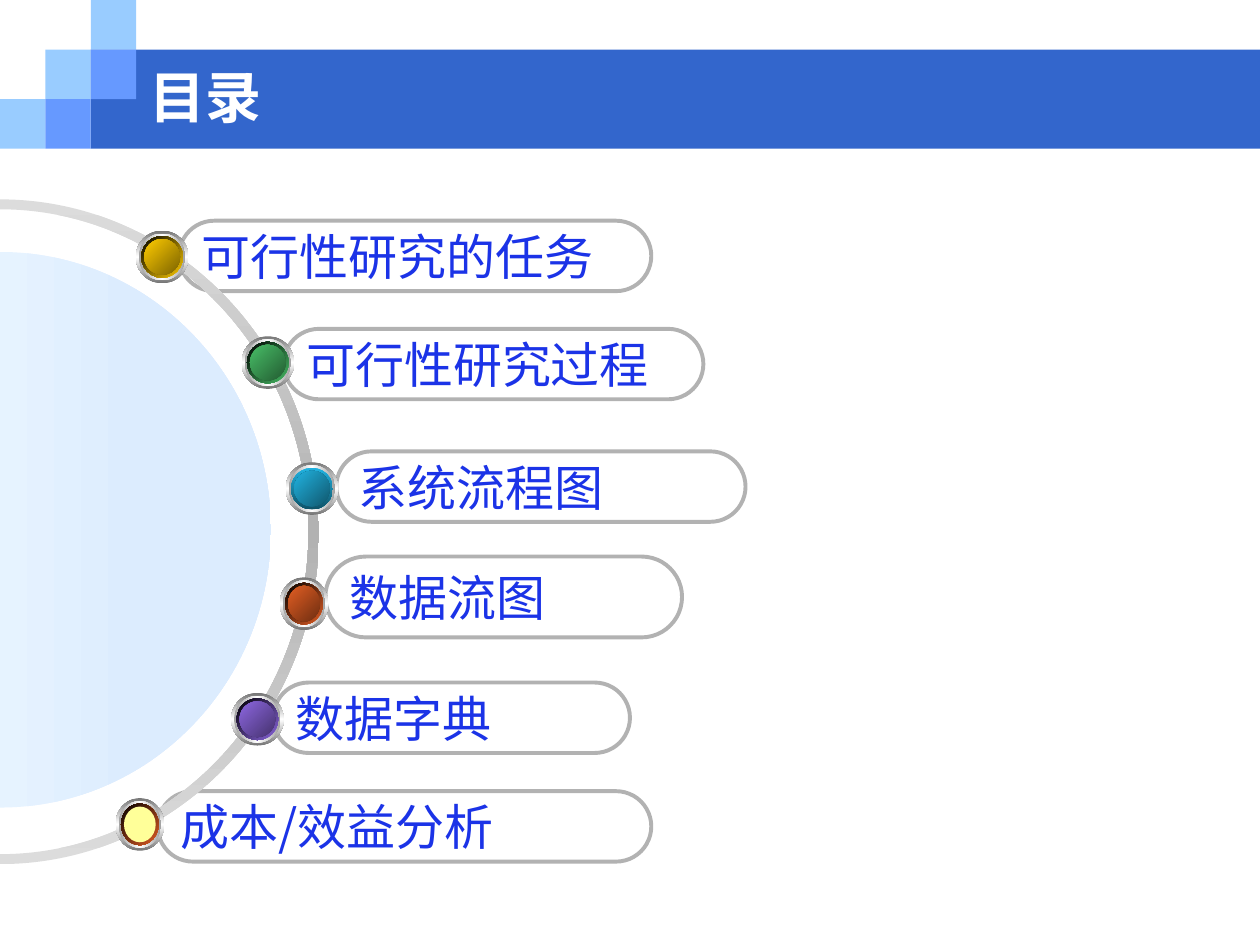
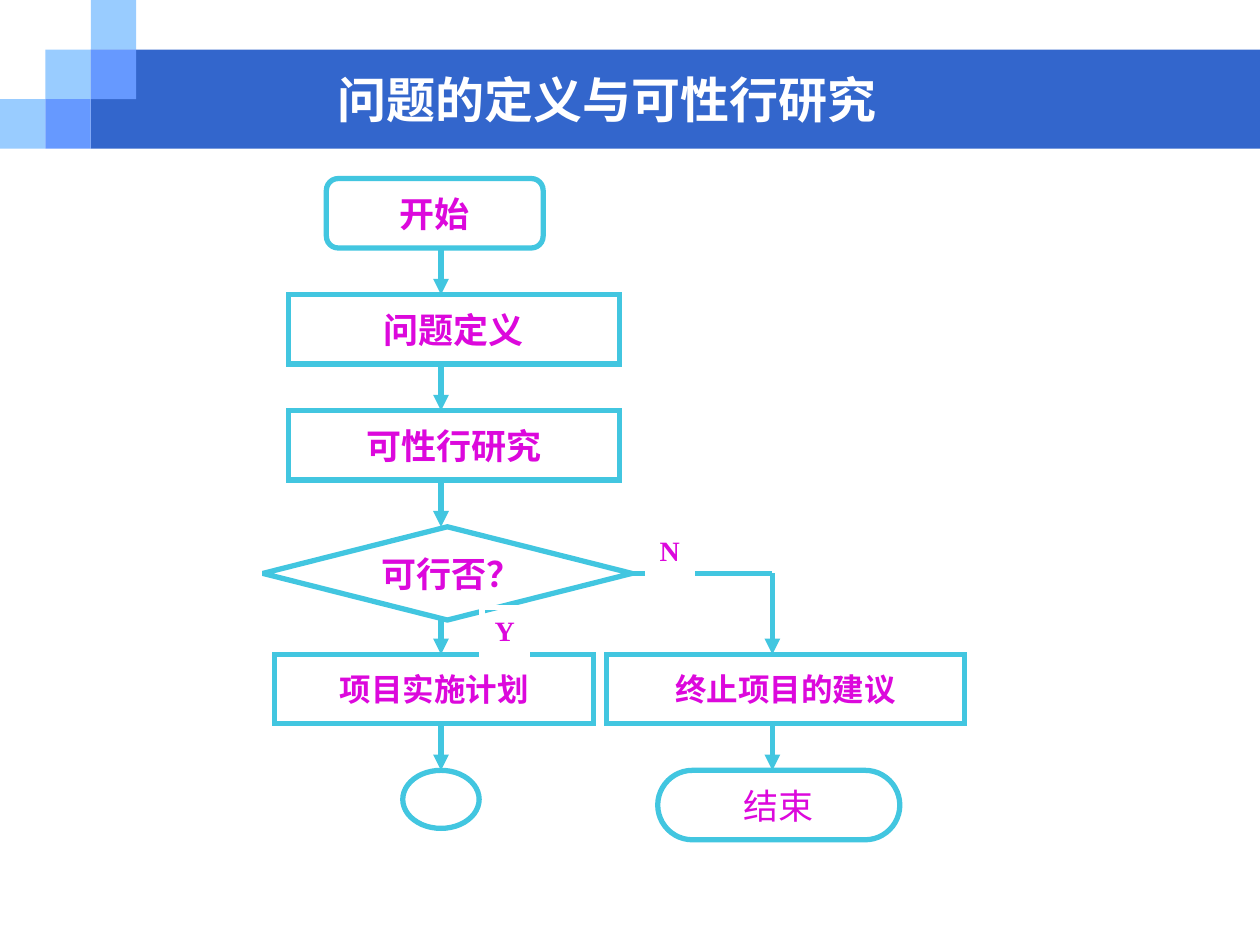
from dataclasses import dataclass

from lxml import etree
from pptx import Presentation
from pptx import util as u
from pptx.dml.color import RGBColor
from pptx.enum import shapes, text
from pptx.oxml import ns


@dataclass(frozen=True)
class Theme:
    band: str = "3366CC"
    light_tile: str = "99CCFF"
    mid_tile: str = "6699FF"
    white: str = "FFFFFF"
    pill_line: str = "B2B2B2"
    pill_text: str = "1B33E7"
    flow_line: str = "42C6E0"
    flow_text: str = "DC08DC"
    ring: tuple = (90, "DCDCDC", "B2B2B2", "DCDCDC")
    disc: tuple = (0, "E6F3FF", "DCECFE", "DCECFE")
    knob_rim: tuple = (90, "767676", "FFFFFF", "767676")
    knob_groove: tuple = (180, "A2A2A2", "FFFFFF", "A2A2A2")
    serif: str = "Times New Roman"
    sans: str = "Arial"
    cjk: str = "Noto Sans CJK SC"
    title: int = 32
    heading: int = 28
    step: int = 20
    outcome: int = 18
    label: int = 16
    pill_width: float = 2.25
    flow_width: float = 3


@dataclass(frozen=True)
class Box:
    """A rectangle measured in centimetres."""
    left: float
    top: float
    width: float
    height: float

    def inner(self, left, top, width, height):
        return Box(self.left + left, self.top + top, width, height)

    def inset(self, gap):
        return self.inner(gap, gap, self.width - 2 * gap, self.height - 2 * gap)

    def emu(self):
        return [u.Cm(side) for side in (self.left, self.top, self.width, self.height)]


THEME = Theme()
KIND = shapes.MSO_SHAPE
ALIGN = text.PP_ALIGN
ANCHOR = text.MSO_ANCHOR


def rgb(code):
    return RGBColor.from_string(code)


def paint(shape, fill=None, line=None, line_width=1):
    """Fill with nothing, a colour, or (angle, colour, colour, ...) as a gradient."""
    shape.shadow.inherit = False
    if fill is None:
        shape.fill.background()
    elif isinstance(fill, str):
        shape.fill.solid()
        shape.fill.fore_color.rgb = rgb(fill)
    else:
        shape.fill.gradient()
        gradient = shape._element.spPr.find(ns.qn("a:gradFill"))
        for child in list(gradient):
            gradient.remove(child)
        angle, *colours = fill
        stops = etree.SubElement(gradient, ns.qn("a:gsLst"))
        for index, colour in enumerate(colours):
            position = 100000 * index // (len(colours) - 1)
            stop = etree.SubElement(stops, ns.qn("a:gs"), pos=str(position))
            etree.SubElement(stop, ns.qn("a:srgbClr"), val=colour)
        etree.SubElement(gradient, ns.qn("a:lin"), ang=str(angle * 60000), scaled="0")
    if line:
        shape.line.color.rgb = rgb(line)
        shape.line.width = u.Pt(line_width)
        etree.SubElement(shape.line._get_or_add_ln(), ns.qn("a:miter"), lim="800000")
    else:
        shape.line.fill.background()


def add_figure(page, kind, box, fill=None, line=None, line_width=1, corner=None):
    figure = page.shapes.add_shape(kind, *box.emu())
    if corner is not None:
        figure.adjustments[0] = corner
    paint(figure, fill, line, line_width)
    return figure


def write(shape, words, size, colour, font, bold=True, align=ALIGN.LEFT,
          anchor=ANCHOR.MIDDLE, wrap=False):
    frame = shape.text_frame
    frame.word_wrap = wrap
    frame.vertical_anchor = anchor
    para = frame.paragraphs[0]
    para.alignment = align
    span = para.add_run()
    span.text = words
    span.font.size = u.Pt(size)
    span.font.bold = bold
    span.font.color.rgb = rgb(colour)
    span.font.name = font
    etree.SubElement(span.font._element, ns.qn("a:ea"), typeface=THEME.cjk)


def add_header(page, box, title, title_box, size, font, anchor):
    """Band with a staircase of tiles at its left end, and the slide title."""
    band_left, tile_height = 1.83, 1.0
    tile_width = band_left / 2
    band = box.inner(band_left, tile_height, box.width - band_left, 2 * tile_height)
    add_figure(page, KIND.RECTANGLE, band, THEME.band)
    tiles = [(THEME.light_tile, ((0, 2), (1, 1), (2, 0))),
             (THEME.mid_tile, ((2, 1), (1, 2)))]
    for colour, cells in tiles:
        for column, row in cells:
            tile = box.inner(column * tile_width, row * tile_height, tile_width, tile_height)
            add_figure(page, KIND.RECTANGLE, tile, colour)
    caption = page.shapes.add_textbox(*box.inner(*title_box).emu())
    write(caption, title, size, THEME.white, font, anchor=anchor, wrap=True)


def half_ellipse(box, centre_y, radius_x, radius_y):
    """Bezier points of the right half of an ellipse, from top to bottom."""
    pull = 0.5523
    steps = [(0, -1), (pull, -1), (1, -pull), (1, 0), (1, pull), (pull, 1), (0, 1)]
    return [(u.Cm(box.left + radius_x * x), u.Cm(box.top + centre_y + radius_y * y))
            for x, y in steps]


def add_curved_outline(page, fill, *arcs):
    """Closed outline of Bezier arcs, with a straight edge from each to the next."""
    points = [point for arc in arcs for point in arc]
    builder = page.shapes.build_freeform(*points[0])
    builder.add_line_segments(points[1:], close=True)
    outline = builder.convert_to_shape()
    edges = list(outline._element.iter(ns.qn("a:lnTo")))
    start = 0
    for arc in arcs:
        arc_end = start + len(arc) - 1
        for first in range(start, arc_end, 3):
            curve = etree.Element(ns.qn("a:cubicBezTo"))
            edges[first].addprevious(curve)
            for edge in edges[first:first + 3]:
                curve.append(edge[0])
                edge.getparent().remove(edge)
        start = arc_end + 1
    paint(outline, fill)


def add_knob(page, box, bezel, face):
    layers = [(0, THEME.knob_rim), (0.06, THEME.knob_groove), (0.11, bezel), (0.17, face)]
    for gap, fill in layers:
        add_figure(page, KIND.OVAL, box.inset(gap), fill)


def add_agenda(page, box):
    pill_height, knob_height = 1.42, 1.06
    pills = [("数据流图", 6.56, 7.22, 7.19, 1.63),
             ("系统流程图", 6.78, 5.1, 8.25, pill_height),
             ("可行性研究过程", 5.72, 2.63, 8.46, pill_height),
             ("可行性研究的任务", 3.61, 0.45, 9.52, pill_height),
             ("数据字典", 5.51, 9.76, 7.19, pill_height),
             ("成本/效益分析", 3.18, 11.95, 9.95, pill_height)]
    for words, *place in pills:
        pill = add_figure(page, KIND.ROUNDED_RECTANGLE, box.inner(*place), None,
                          THEME.pill_line, THEME.pill_width, corner=0.5)
        write(pill, words, THEME.heading, THEME.pill_text, THEME.cjk, bold=False)

    outer = half_ellipse(box, 6.72, 6.43, 6.7)
    inner = half_ellipse(box, 6.72, 6.22, 6.5)
    add_curved_outline(page, THEME.ring, inner, outer[::-1])
    add_curved_outline(page, THEME.disc, half_ellipse(box, 6.68, 5.46, 5.6))

    knobs = [(2.74, 0.65, 1.06, (225, "FFCC00", "000000"), (225, "7C6300", "FFCC00")),
             (4.87, 2.78, 1.06, (225, "48BE67", "000000"), (225, "235C32", "48BE67")),
             (5.76, 5.32, 1.06, (90, "21B3E1", "0F5368"), (225, "10576D", "21B3E1")),
             (4.66, 9.97, 1.06, (225, "8D67E1", "000000"), (225, "45326D", "8D67E1")),
             (2.33, 12.09, 0.98, (225, "E35E23", "000000"), "FFFF99"),
             (5.64, 7.64, 0.98, (225, "E35E23", "000000"), (225, "6E2E11", "E35E23"))]
    for left, top, width, bezel, face in knobs:
        add_knob(page, box.inner(left, top, width, knob_height), bezel, face)


def add_flow_line(page, box, start, end, arrow=True):
    ends = [u.Cm(value) for x, y in (start, end) for value in (box.left + x, box.top + y)]
    line = page.shapes.add_connector(shapes.MSO_CONNECTOR.STRAIGHT, *ends)
    line.line.color.rgb = rgb(THEME.flow_line)
    line.line.width = u.Pt(THEME.flow_width)
    if arrow:
        etree.SubElement(line.line._get_or_add_ln(), ns.qn("a:tailEnd"), type="triangle")
    etree.SubElement(line._element.spPr, ns.qn("a:effectLst"))
    return line


def add_flowchart(page, box):
    pitch, node_height, diamond_height = 2.34, 1.4, 1.88
    spine, branch = 3.61, 10.29
    test_top = 3 * pitch
    test_middle = test_top + diamond_height / 2
    outcome_top = 9.59
    end_top = outcome_top + pitch

    def node(kind, words, left, top, width, height=node_height, size=THEME.step,
             bold=True, corner=None):
        figure = add_figure(page, kind, box.inner(left, top, width, height), None,
                            THEME.flow_line, THEME.flow_width, corner)
        write(figure, words, size, THEME.flow_text, THEME.serif, bold, ALIGN.CENTER)
        return figure

    node(KIND.ROUNDED_RECTANGLE, "开始", 1.3, 0, 4.37, corner=0.17)
    for row, words in enumerate(("问题定义", "可性行研究"), start=1):
        node(KIND.RECTANGLE, words, 0.53, row * pitch, 6.68)
    test = node(KIND.DIAMOND, " 可行否？", 0.02, test_top, 7.44, diamond_height)
    node(KIND.RECTANGLE, "项目实施计划", 0.26, outcome_top, 6.43, size=THEME.outcome)
    node(KIND.RECTANGLE, "终止项目的建议", 6.95, outcome_top, 7.22, size=THEME.outcome)
    junction_width = 1.54
    junction = add_figure(
        page, KIND.OVAL, box.inner(spine - junction_width / 2, end_top, junction_width, 1.17),
        THEME.white, THEME.flow_line, THEME.flow_width)
    node(KIND.ROUNDED_RECTANGLE, "结束", 7.98, end_top, 4.88, bold=False, corner=0.5)

    for row in range(3):
        add_flow_line(page, box, (spine, row * pitch + node_height), (spine, (row + 1) * pitch))
    add_flow_line(page, box, (spine, test_top + diamond_height), (spine, outcome_top))
    add_flow_line(page, box, (branch, test_middle), (branch, outcome_top))
    for x in (spine, branch):
        arrow = add_flow_line(page, box, (x, outcome_top + node_height), (x, end_top))
        if x == spine:
            arrow.end_connect(junction, 0)
    refusal = add_flow_line(page, box, (7.46, test_middle), (branch, test_middle), arrow=False)
    refusal.begin_connect(test, 3)

    for words, left, top in (("Y", 4.44, 8.65), ("N", 7.77, 7.03)):
        label = add_figure(page, KIND.RECTANGLE, box.inner(left, top, 0.91, 0.94), None,
                           THEME.white, THEME.flow_width)
        write(label, words, THEME.label, THEME.flow_text, THEME.serif, anchor=ANCHOR.TOP)


def main():
    deck = Presentation()
    deck.slide_width, deck.slide_height = u.Cm(25.4), u.Cm(19.05)
    blank = deck.slide_layouts[6]
    header = Box(0, 0, 25.4, 3)

    page = deck.slides.add_slide(blank)
    add_header(page, header, "目录", (2.76, 1.27, 20.52, 1.35),
               THEME.title, THEME.serif, ANCHOR.MIDDLE)
    add_agenda(page, Box(0, 4, 15.1, 13.5))

    page = deck.slides.add_slide(blank)
    add_flowchart(page, Box(5.28, 3.6, 14.15, 13.4))
    add_header(page, header, "问题的定义与可性行研究", (6.56, 1.27, 11.63, 1.45),
               THEME.heading, THEME.sans, ANCHOR.TOP)

    deck.save("out.pptx")


if __name__ == "__main__":
    main()
